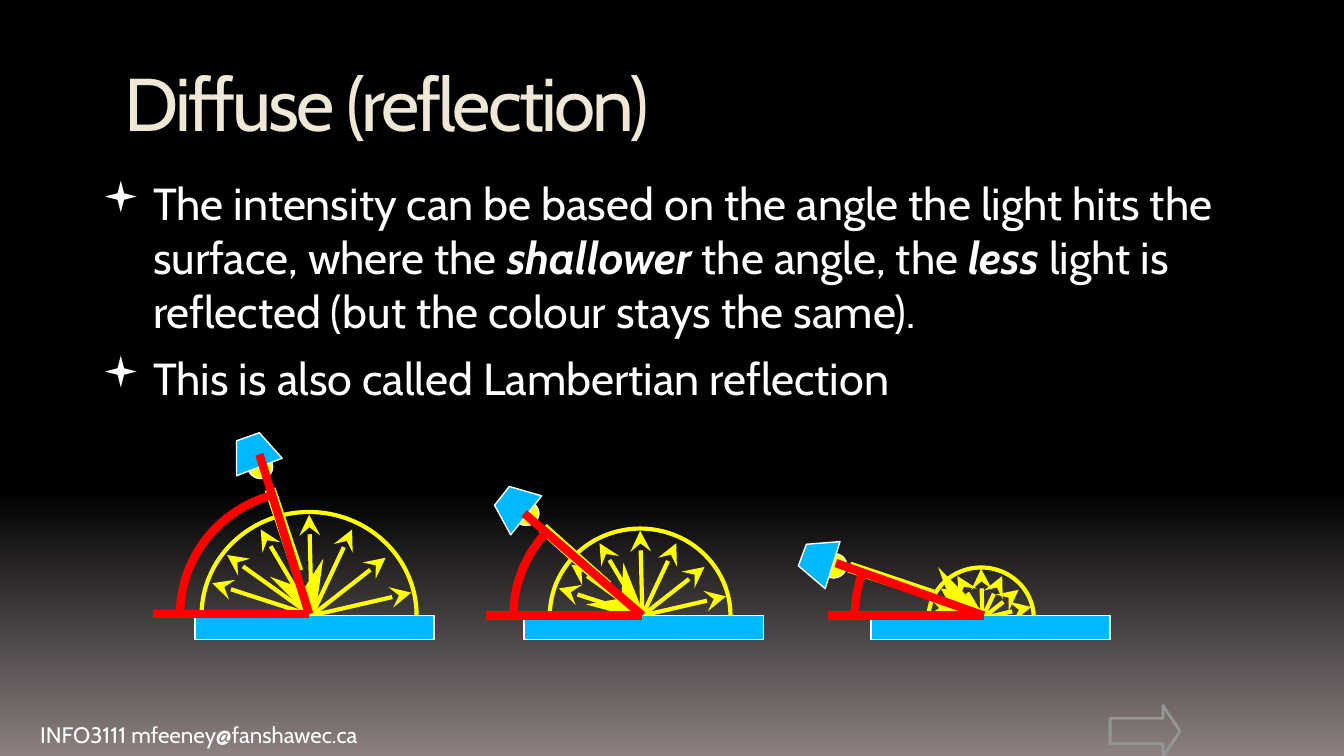
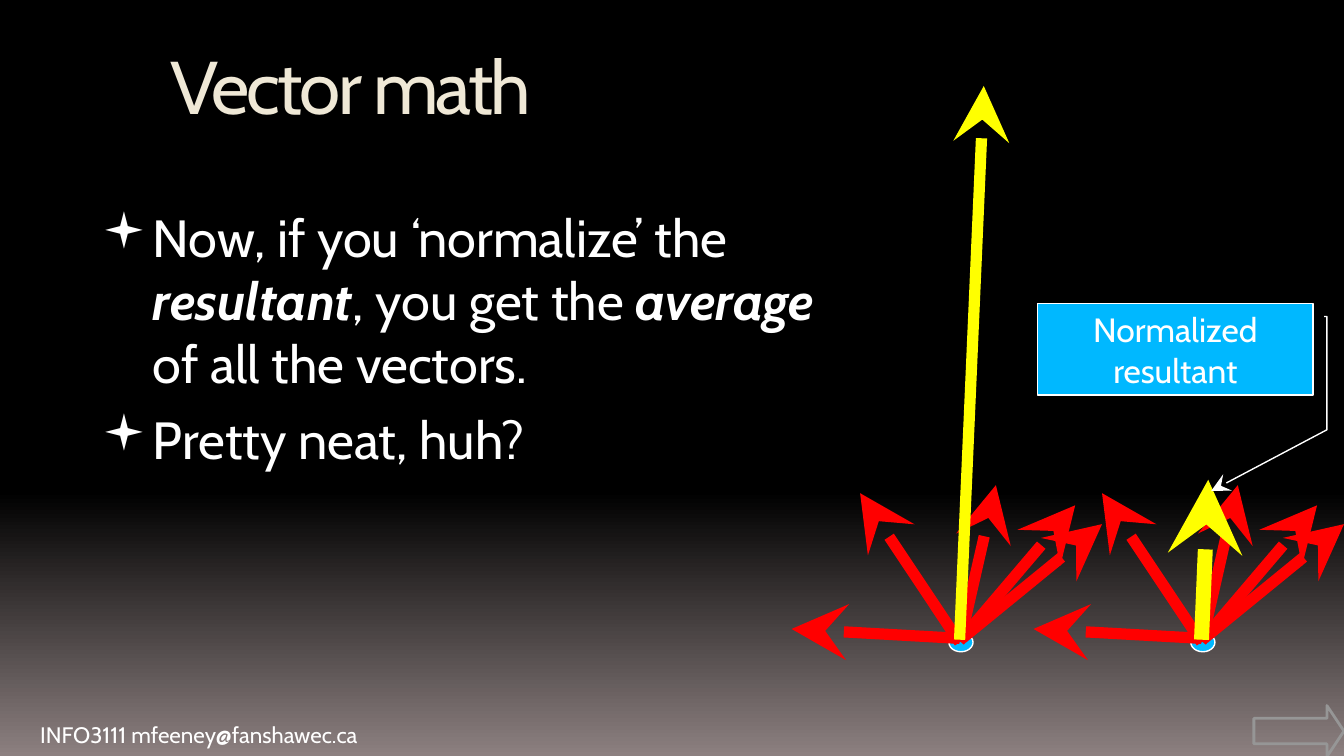
from lxml.etree import SubElement
from pptx import Presentation
from pptx.dml.color import RGBColor
from pptx.enum.shapes import MSO_CONNECTOR, MSO_SHAPE
from pptx.enum.text import MSO_ANCHOR, PP_ALIGN
from pptx.oxml.ns import qn
from pptx.util import Inches, Pt

FONT = "Cabin"
BLACK, WHITE, GLOW = "000000", "FFFFFF", "8C8080"
CREAM, GREY = "EFE8D6", "969696"
BLUE, RED, YELLOW = "00B8FF", "FF0000", "FFFF00"
FOOTER = "INFO3111 mfeeney@fanshawec.ca"

RAYS = [(-0.02, -0.75), (0.3, -0.64), (-0.63, -0.45), (-0.38, -0.64),
        (0.55, -0.43), (0.74, -0.17), (-0.74, -0.24)]

SCENES = [
    dict(hit=(2.32, 4.58), scale=1, slab=1.45, bulb=(1.84, 3.38), turn=32.8,
         lamp=[(2.1, 3.41), (1.93, 3.22), (1.76, 3.28), (1.76, 3.54)],
         beam=[(2.01, 3.64), (2.34, 4.62)], vertex=(2.3, 4.57),
         source=(1.93, 3.38), angle=72),
    dict(hit=(4.78, 4.58), scale=0.84, slab=3.9, bulb=(3.82, 3.73), turn=3,
         lamp=[(4.03, 3.69), (3.79, 3.62), (3.68, 3.76), (3.8, 3.98)],
         beam=[(4.04, 3.93), (4.81, 4.62)], vertex=(4.78, 4.58),
         source=(3.9, 3.82), angle=41),
    dict(hit=(7.31, 4.6), scale=0.49, slab=6.48, bulb=(6.11, 4.12), turn=340.1,
         lamp=[(6.25, 4.03), (6, 4.05), (5.94, 4.21), (6.14, 4.38)],
         beam=[(6.32, 4.22), (7.31, 4.55)], vertex=(7.32, 4.58),
         source=(6.22, 4.19), angle=19.4),
]

VECTORS = [((0, 4.77), (0.86, 3.76)), ((0, 4.78), (-0.74, 3.67)),
           ((0.01, 4.75), (0.27, 3.61)), ((0, 4.75), (-1.25, 4.68)),
           ((0.02, 4.75), (1.06, 3.9))]


def rgb(value):
    return RGBColor.from_string(value)


class Deck:
    def __init__(self):
        self.prs = Presentation()
        self.prs.slide_width = Inches(10)
        self.prs.slide_height = Inches(10 * 9 / 16)

    def start(self, title, box, arrow):
        self.slide = self.prs.slides.add_slide(self.prs.slide_layouts[5])
        self.shapes = self.slide.shapes
        fill = self.slide.background.fill
        fill.gradient()
        fill.gradient_angle = 270
        for stop, place, color in zip(fill.gradient_stops, (0.65, 1), (BLACK, GLOW)):
            stop.position = place
            stop.color.rgb = rgb(color)
        self.text((0.2, 5.32, 4.09, 0.3), [[(FOOTER, False)]], 12)
        self.title(title, box)
        arrow = self.shape(MSO_SHAPE.RIGHT_ARROW, arrow, None, GREY, 1.5)
        arrow.adjustments[0] = 0.5
        arrow.adjustments[1] = 0.333

    def title(self, words, box):
        head = self.shapes.title
        head.left, head.top, head.width, head.height = map(Inches, box)
        frame = head.text_frame
        frame.vertical_anchor = MSO_ANCHOR.TOP
        frame.paragraphs[0].alignment = PP_ALIGN.LEFT
        run = self.run(frame.paragraphs[0], words, 40, CREAM)
        run._r.get_or_add_rPr().set("spc", "-150")

    def run(self, para, words, size, color=WHITE, strong=False):
        run = para.add_run()
        run.text = words
        font = run.font
        font.name, font.size = FONT, Pt(size)
        font.bold = font.italic = strong
        font.color.rgb = rgb(color)
        return run

    def text(self, box, paras, size, bullet=False):
        frame = self.shapes.add_textbox(*map(Inches, box)).text_frame
        frame.word_wrap = True
        for i, runs in enumerate(paras):
            para = frame.add_paragraph() if i else frame.paragraphs[0]
            if i:
                para.space_before = Pt(7)
            if bullet:
                self.bullet(para)
            for words, strong in runs:
                self.run(para, words, size, strong=strong)

    def bullet(self, para):
        props = para._p.get_or_add_pPr()
        props.set("marL", str(Inches(0.45)))
        props.set("indent", str(Inches(-0.38)))
        SubElement(props, qn("a:buSzPct")).set("val", "95000")
        face = SubElement(props, qn("a:buFont"))
        face.set("typeface", "Wingdings")
        face.set("charset", "2")
        SubElement(props, qn("a:buChar")).set("char", "▪")

    def paint(self, shape, fill, line, width):
        shape.shadow.inherit = False
        if fill:
            shape.fill.solid()
            shape.fill.fore_color.rgb = rgb(fill)
        else:
            shape.fill.background()
        shape.line.color.rgb = rgb(line)
        shape.line.width = Pt(width)
        return shape

    def shape(self, kind, box, fill, line=WHITE, width=0.75):
        return self.paint(self.shapes.add_shape(kind, *map(Inches, box)), fill, line, width)

    def outline(self, points, fill):
        spots = [(Inches(x), Inches(y)) for x, y in points]
        pen = self.shapes.build_freeform(*spots[0])
        pen.add_line_segments(spots[1:], close=True)
        return self.paint(pen.convert_to_shape(), fill, WHITE, 0.75)

    def arc(self, x, y, rx, ry, sweep, color, width):
        box = (x - rx, y - ry, 2 * rx, 2 * ry)
        arc = self.shape(MSO_SHAPE.ARC, box, None, color, width)
        for i, angle in enumerate((180, (180 + sweep) % 360)):
            arc.adjustments[i] = angle * 0.6

    def tip(self, shape):
        end = SubElement(shape.line._get_or_add_ln(), qn("a:tailEnd"))
        for key, value in (("type", "stealth"), ("w", "lg"), ("len", "lg")):
            end.set(key, value)

    def line(self, start, end, color, width, tip=True):
        line = self.shapes.add_connector(MSO_CONNECTOR.STRAIGHT, *map(Inches, (*start, *end)))
        line.line.color.rgb = rgb(color)
        line.line.width = Pt(width)
        SubElement(line._element.spPr, qn("a:effectLst"))
        if tip:
            self.tip(line)

    def callout(self, box, words, points):
        note = self.shape(MSO_SHAPE.LINE_CALLOUT_3, box, BLUE)
        for i, value in enumerate(points):
            note.adjustments[i] = value
        self.tip(note)
        frame = note.text_frame
        frame.word_wrap = True
        frame.vertical_anchor = MSO_ANCHOR.MIDDLE
        frame.paragraphs[0].alignment = PP_ALIGN.CENTER
        self.run(frame.paragraphs[0], words, 18)

    def scene(self, hit, scale, slab, bulb, turn, lamp, beam, vertex, source, angle):
        x, y = hit
        self.shape(MSO_SHAPE.OVAL, (*bulb, 0.19, 0.18), YELLOW).rotation = turn
        self.outline(lamp, BLUE)
        self.line(*beam, YELLOW, 6)
        self.arc(x - 0.02 * scale, y, 0.8 * scale, 0.77 * scale, 180, YELLOW, 2.25)
        for dx, dy in RAYS:
            self.line(hit, (x + dx * scale, y + dy * scale), YELLOW, 2.25)
        self.shape(MSO_SHAPE.RECTANGLE, (slab, 4.58, 1.78, 0.18), BLUE)
        vx, vy = vertex
        self.arc(vx - 0.02, vy, 0.94, 0.92, angle, RED, 4.5)
        self.line((vx - 1.16, vy), vertex, RED, 4.5, tip=False)
        self.line(vertex, source, RED, 4.5, tip=False)

    def fan(self, x, end, width):
        self.shape(MSO_SHAPE.OVAL, (x - 0.08, 4.71, 0.18, 0.14), BLUE)
        for (ax, ay), (bx, by) in VECTORS:
            self.line((x + ax, ay), (x + bx, by), RED, 6)
        self.line((x, 4.76), end, YELLOW, width)


def main():
    deck = Deck()
    deck.start("Diffuse (reflection)", (0.83, 0.37, 8.5, 0.75), (8.26, 5.25, 0.52, 0.38))
    deck.text((0.59, 1.26, 9.08, 3.38), [
        [("The intensity can be based on the angle the light hits the surface, where the ", False),
         ("shallower", True), (" the angle, the ", False), ("less", True),
         (" light is reflected (but the colour stays the same).", False)],
        [("This is also called Lambertian reflection", False)],
    ], 24, bullet=True)
    for scene in SCENES:
        deck.scene(**scene)

    deck.start("Vector math", (1.17, 0.25, 4.06, 1.17), (9.33, 5.25, 0.67, 0.38))
    deck.text((0.59, 1.48, 5.73, 3.53), [
        [("Now, if you ‘normalize’ the ", False), ("resultant", True),
         (", you get the ", False), ("average", True), (" of all the vectors.", False)],
        [("Pretty neat, huh?", False)],
    ], 28, bullet=True)
    deck.fan(7.14, (7.32, 0.64), 6)
    deck.fan(8.94, (8.99, 3.57), 8)
    deck.callout((7.72, 2.26, 2.05, 0.68), "Normalized resultant",
                 (0.14, 1.04, 0.14, 1.05, 1.38, 1.05, 2.05, 0.63))
    deck.prs.save("out.pptx")


if __name__ == "__main__":
    main()
